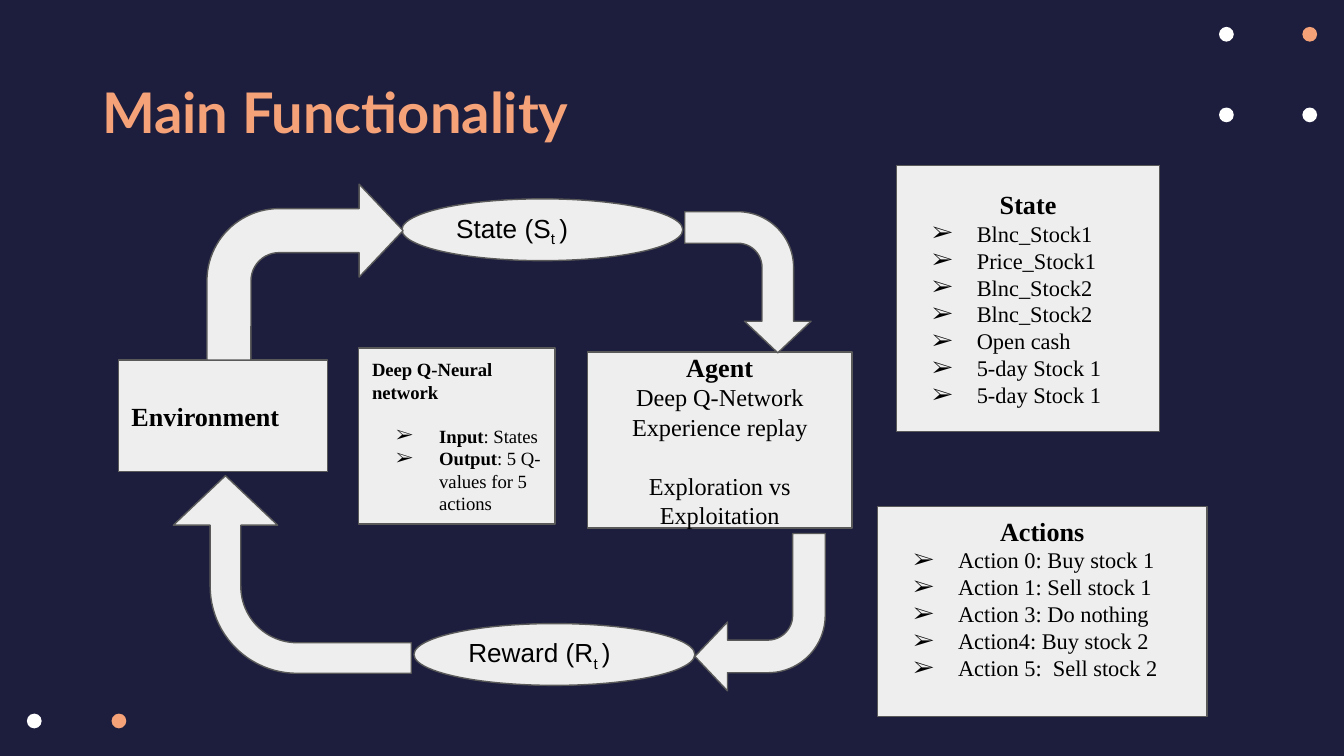
from lxml.etree import SubElement
from pptx import Presentation
from pptx.dml.color import RGBColor
from pptx.enum.shapes import MSO_SHAPE as Shape
from pptx.enum.text import MSO_ANCHOR as Anchor, PP_ALIGN as Align
from pptx.oxml.ns import qn
from pptx.util import Inches, Pt

THEME = dict(
    navy="1D1E3E", peach="F5A278", white="FFFFFF", panel="EEEEEE", border="595959", ink="000000",
    title_font="Lato", body_font="Times New Roman", label_font="Arial",
    title=30, heading=14, agent=13, item=12, small=10,
)

# Content: boxes are left, top, width, height in inches
TITLE = "Main Functionality"
TITLE_BOX = (0.66, 0.48, 6.75, 0.83)

LIST_PANELS = [
    dict(box=(6.67, 1.23, 1.96, 1.98), heading="State",
         items=["Blnc_Stock1", "Price_Stock1", "Blnc_Stock2", "Blnc_Stock2",
                "Open cash", "5-day Stock 1", "5-day Stock 1"]),
    dict(box=(6.53, 3.77, 2.45, 1.56), heading="Actions", bottom=0.3,
         items=["Action 0: Buy stock 1", "Action 1: Sell stock 1", "Action 3: Do nothing",
                "Action4: Buy stock 2", "Action 5:  Sell stock 2"]),
]

ENVIRONMENT = dict(box=(0.88, 2.68, 1.56, 0.83), heading="Environment")
NETWORK = dict(box=(2.67, 2.59, 1.46, 1.31), heading="Deep Q-Neural network",
               items=[("Input", ": States"), ("Output", ": 5 Q-values for 5 actions")])
AGENT = dict(box=(4.37, 2.62, 1.97, 1.31), heading="Agent",
             items=["Deep Q-Network Experience replay", "Exploration vs Exploitation"])

SIGNALS = [("State (S", (2.99, 1.48, 2.09, 0.46)), ("Reward (R", (3.08, 4.64, 2.09, 0.46))]

# Unrotated box, rotation, shaft thickness, bend
CYCLE_ARROWS = [
    ((1.54, 1.37, 1.46, 1.31), 0, 0.25, 0.41),
    ((5.04, 1.63, 1.05, 0.94), 90, 0.25, 0.44),
    ((5.17, 3.97, 0.97, 1.17), 180, 0.25, 0.44),
    ((1.44, 3.39, 1.47, 1.77), 270, 0.155, 0.44),
]

DOT = 0.11
CORNER_DOTS = [(0.2, 5.31, "white"), (0.83, 5.31, "peach")]
CORNER_DOTS += [(9.07 + 0.62 * col, 0.2 + 0.6 * row, "peach" if (col, row) == (1, 0) else "white")
                for row in range(2) for col in range(2)]


def rgb(name):
    return RGBColor.from_string(THEME[name])


def write(frame, text, size="heading", font="body_font", color="ink", bold=False,
          align=Align.LEFT, before=0, bullet=None):
    """Add a paragraph; text is a string or a list of (string, bold, baseline) runs."""
    paragraph = frame.paragraphs[0]
    if paragraph.runs:
        paragraph = frame.add_paragraph()
    paragraph.alignment = align
    paragraph.space_before = Pt(before)
    for words, is_bold, baseline in ([(text, bold, 0)] if isinstance(text, str) else text):
        run = paragraph.add_run()
        run.text = words
        run.font.size, run.font.name, run.font.bold = Pt(THEME[size]), THEME[font], is_bold
        run.font.color.rgb = rgb(color)
        if baseline:
            run.font._element.set("baseline", str(baseline * 1000))
    if bullet:
        props = paragraph._p.get_or_add_pPr()
        props.set("marL", str(Inches(0.5)))
        props.set("indent", str(-Inches(bullet)))
        bullet_color = SubElement(props, qn("a:buClr"))
        SubElement(bullet_color, qn("a:srgbClr"), val=THEME["ink"])
        SubElement(props, qn("a:buFont"), typeface=THEME[font])
        SubElement(props, qn("a:buChar"), char="➢")


def set_frame(frame, anchor=Anchor.MIDDLE, bottom=0.1):
    frame.word_wrap = True
    frame.vertical_anchor = anchor
    frame.margin_left = frame.margin_right = frame.margin_top = Inches(0.1)
    frame.margin_bottom = Inches(bottom)
    return frame


def draw(slide, kind, box, fill="panel", border="border"):
    shape = slide.shapes.add_shape(kind, *map(Inches, box))
    shape.shadow.inherit = False
    shape.fill.solid()
    shape.fill.fore_color.rgb = rgb(fill)
    if border:
        shape.line.color.rgb = rgb(border)
        shape.line.width = Pt(0.75)
    else:
        shape.line.fill.background()
    return shape


def add_panel(slide, panel, align=Align.LEFT, size="heading"):
    shape = draw(slide, Shape.RECTANGLE, panel["box"])
    frame = set_frame(shape.text_frame, bottom=panel.get("bottom", 0.1))
    write(frame, panel["heading"], size=size, bold=True, align=align)
    return frame


def main():
    prs = Presentation()
    prs.slide_width = Inches(10)
    prs.slide_height = prs.slide_width * 9 // 16
    slide = prs.slides.add_slide(prs.slide_layouts[5])
    slide.background.fill.solid()
    slide.background.fill.fore_color.rgb = rgb("navy")

    # Corner decoration
    for left, top, color in CORNER_DOTS:
        draw(slide, Shape.OVAL, (left, top, DOT, DOT), fill=color, border=None)

    # Title
    title = slide.shapes.title
    title.left, title.top, title.width, title.height = map(Inches, TITLE_BOX)
    write(set_frame(title.text_frame, Anchor.TOP), TITLE, size="title",
          font="title_font", color="peach", bold=True)

    # Environment, network and agent
    add_panel(slide, ENVIRONMENT)
    network = add_panel(slide, NETWORK, size="small")
    for index, (term, detail) in enumerate(NETWORK["items"]):
        write(network, [(term, True, 0), (detail, False, 0)], size="small",
              before=0 if index else 11.5, bullet=0.32)
    agent = add_panel(slide, AGENT, align=Align.CENTER)
    for index, item in enumerate(AGENT["items"]):
        write(agent, item, size="agent", align=Align.CENTER, before=16 * index)

    # State and action lists
    for panel in LIST_PANELS:
        frame = add_panel(slide, panel, align=Align.CENTER)
        for item in panel["items"]:
            write(frame, item, size="item", bullet=0.33)

    # Signals passed around the cycle
    for label, box in SIGNALS:
        signal = draw(slide, Shape.OVAL, box)
        write(set_frame(signal.text_frame), [(label, False, 0), ("t ", False, -25), (")", False, 0)],
              font="label_font")

    # Cycle arrows
    for box, rotation, shaft, bend in CYCLE_ARROWS:
        arrow = draw(slide, Shape.BENT_ARROW, box)
        arrow.rotation = rotation
        for index, value in enumerate((shaft, 0.264, 0.25, bend)):
            arrow.adjustments[index] = value

    prs.save("out.pptx")


if __name__ == "__main__":
    main()
